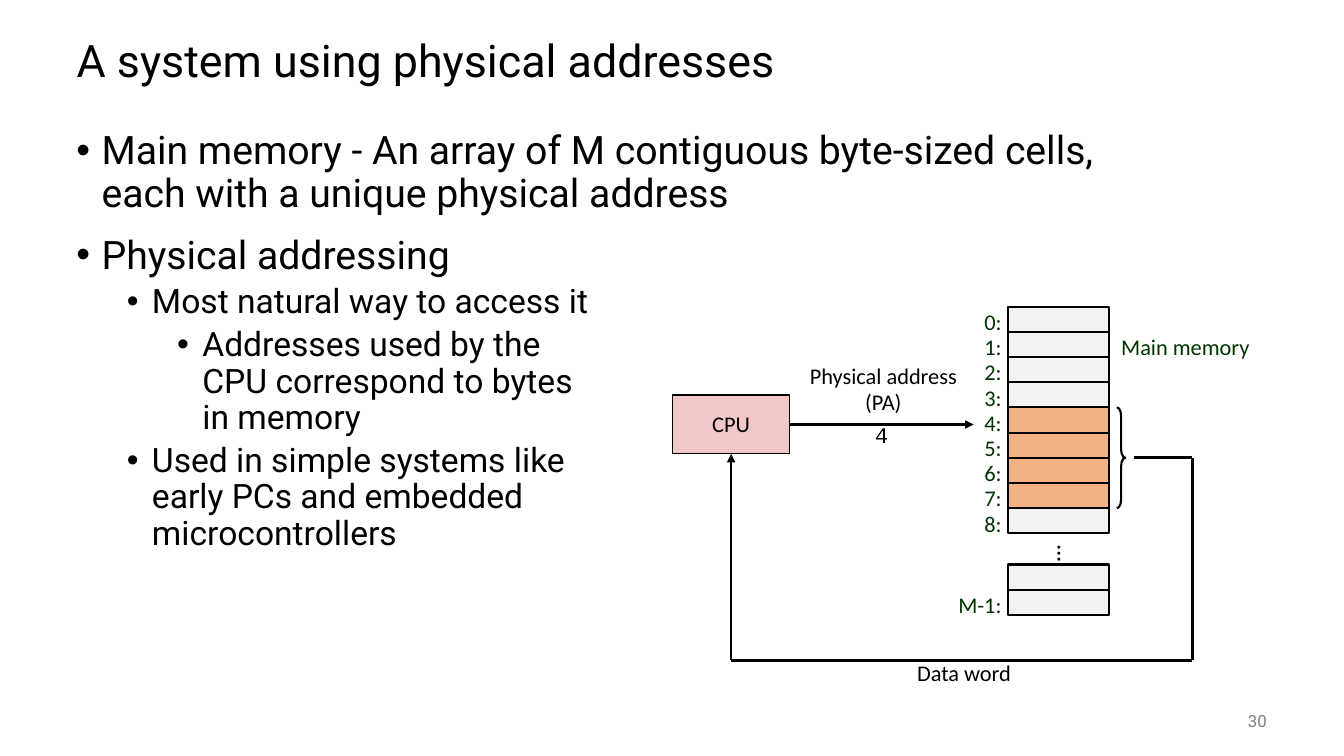
from lxml.etree import SubElement
from pptx import Presentation
from pptx.dml.color import RGBColor
from pptx.enum.shapes import MSO_CONNECTOR, MSO_SHAPE
from pptx.enum.text import MSO_ANCHOR, MSO_AUTO_SIZE, PP_ALIGN
from pptx.oxml.ns import qn
from pptx.util import Pt

TITLE = "A system using physical addresses"
# level, text
POINTS = [
    (0, "Main memory - An array of M contiguous byte-sized cells, each with a unique physical address"),
    (0, "Physical addressing"),
    (1, "Most natural way to access it"),
    (2, "Addresses used by the\nCPU correspond to bytes\nin memory"),
    (1, "Used in simple systems like\nearly PCs and embedded\nmicrocontrollers"),
]
LEVELS = [{"size": 28, "before": 14}, {"size": 24, "before": 5}, {"size": 24, "before": 5}]
COLORS = {"ink": "000000", "label": "003300", "cell": "F2F2F2",
          "word": "F4B183", "cpu": "F1C7C7", "page": "808080"}
LOW = [f"{n}:" for n in range(9)]
HIGH = ["", "M-1:"]
WORD = range(4, 8)

CELL_X, CELL_W, CELL_H = 720, 72, 18
LOW_Y, HIGH_Y = 219, 403.2
LABEL_W, LABEL_END = 46, 722.5
CPU = (480.2, 282.2, 84, 42)
BUS_X, BUS_Y = 851.8, 471.6

LABEL = {"color": "label", "spacing": 0.88}
NOTE = {"anchor": MSO_ANCHOR.MIDDLE, "align": PP_ALIGN.CENTER, "spacing": 0.98}
# text, box, format
TEXTS = [
    ("Main memory", (792, 237, 109.4, 24), {**LABEL, "align": PP_ALIGN.CENTER}),
    ("Physical address\n(PA)", (569.5, 255.6, 123, 45.4), NOTE),
    ("Data word", (646.6, 468, 84, 26.6), NOTE),
    ("4", (617.8, 297.4, 24.5, 26.6), {"font": "Courier New"}),
    ("30", (840, 500.4, 72, 28.8), {"font": "Roboto", "size": 12, "color": "page",
                                    "anchor": MSO_ANCHOR.MIDDLE, "align": PP_ALIGN.RIGHT}),
]


def rgb(name):
    return RGBColor.from_string(COLORS[name])


def style(item, size, font="Calibri", color="ink"):
    for key, value in {"name": font, "size": Pt(size), "bold": False}.items():
        setattr(item.font, key, value)
    item.font.color.rgb = rgb(color)


def write(frame, text, font="Calibri", size=16, color="ink", spacing=1.0,
          align=PP_ALIGN.LEFT, anchor=MSO_ANCHOR.TOP):
    """Fill a frame with one paragraph per line of text."""
    form = {"text": text, "word_wrap": False,
            "auto_size": MSO_AUTO_SIZE.NONE, "vertical_anchor": anchor}
    for key, value in form.items():
        setattr(frame, key, value)
    for para in frame.paragraphs:
        para.alignment, para.line_spacing = align, spacing
        style(para, size, font, color)


def add_text(shapes, text, box, form):
    frame = shapes.add_textbox(*map(Pt, box)).text_frame
    write(frame, text, **form)
    return frame


def add_box(shapes, kind, box, fill=None, width=1.5):
    shape = shapes.add_shape(kind, *map(Pt, box))
    shape.shadow.inherit = False
    if fill:
        shape.fill.solid()
        shape.fill.fore_color.rgb = rgb(fill)
    else:
        shape.fill.background()
    shape.line.color.rgb = rgb("ink")
    shape.line.width = Pt(width)
    return shape


def add_line(shapes, start, end, arrow=False):
    line = shapes.add_connector(MSO_CONNECTOR.STRAIGHT, *map(Pt, start + end))
    line.line.color.rgb = rgb("ink")
    line.line.width = Pt(2)
    props = line._element.spPr
    if arrow:
        SubElement(props.find(qn("a:ln")), qn("a:tailEnd"), type="triangle")
    SubElement(props, qn("a:effectLst"))
    return line


def add_points(shapes):
    frame = shapes.add_textbox(Pt(47.5), Pt(90), Pt(792), Pt(410.4)).text_frame
    frame.word_wrap = True
    for i, (level, text) in enumerate(POINTS):
        para = frame.add_paragraph() if i else frame.paragraphs[0]
        para.text, para.level, para.line_spacing = text, level, 0.9
        if i:
            para.space_before = Pt(LEVELS[level]["before"])
        props = para._p.get_or_add_pPr()
        props.set("marL", str(Pt(18 + 36 * level)))
        props.set("indent", str(-Pt(18)))
        SubElement(props, qn("a:buFont"), typeface="Arial")
        SubElement(props, qn("a:buChar"), char="•")
        style(para, LEVELS[level]["size"], "Roboto")


def add_cells(shapes, labels, top, marked=()):
    """Stack memory cells with their addresses on the left."""
    for i, label in enumerate(labels):
        y = top + i * CELL_H
        add_box(shapes, MSO_SHAPE.RECTANGLE, (CELL_X, y, CELL_W, CELL_H),
                "word" if i in marked else "cell")
        if label:
            add_text(shapes, label, (LABEL_END - LABEL_W, y, LABEL_W, 24),
                     {**LABEL, "align": PP_ALIGN.RIGHT})


def main():
    deck = Presentation()
    deck.slide_width, deck.slide_height = Pt(960), Pt(540)
    slide = deck.slides.add_slide(deck.slide_layouts[5])
    shapes = slide.shapes

    title = shapes.title
    place = {"left": 47.5, "top": 18, "width": 864, "height": 54}
    for key, value in place.items():
        setattr(title, key, Pt(value))
    write(title.text_frame, TITLE, "Roboto", 32, spacing=0.9, anchor=MSO_ANCHOR.MIDDLE)
    add_points(shapes)

    add_cells(shapes, LOW, LOW_Y, WORD)
    add_cells(shapes, HIGH, HIGH_Y)
    dots = add_text(shapes, "...", (725.8, 381.6, 72, 18), {**NOTE, "size": 18})
    dots._txBody.bodyPr.set("vert", "eaVert")

    word_y, word_h = LOW_Y + WORD[0] * CELL_H, len(WORD) * CELL_H
    brace = add_box(shapes, MSO_SHAPE.RIGHT_BRACE, (797.8, word_y, 6, word_h))
    brace.adjustments[0], brace.adjustments[1] = 1, 0.5

    cpu = add_box(shapes, MSO_SHAPE.RECTANGLE, CPU, "cpu", 1)
    write(cpu.text_frame, "CPU", **NOTE)
    x, y, w, h = CPU
    mid_x, mid_y, out_y = x + w / 2, y + h / 2, word_y + word_h / 2
    send = add_line(shapes, (x + w, mid_y), (695.5, mid_y), True)
    send.begin_connect(cpu, 3)
    add_line(shapes, (810, out_y), (BUS_X, out_y))
    add_line(shapes, (BUS_X, out_y), (BUS_X, BUS_Y))
    add_line(shapes, (BUS_X, BUS_Y), (mid_x, BUS_Y))
    back = add_line(shapes, (mid_x, BUS_Y), (mid_x, y + h), True)
    back.end_connect(cpu, 2)

    for text, box, form in TEXTS:
        add_text(shapes, text, box, form)
    deck.save("out.pptx")


if __name__ == "__main__":
    main()
